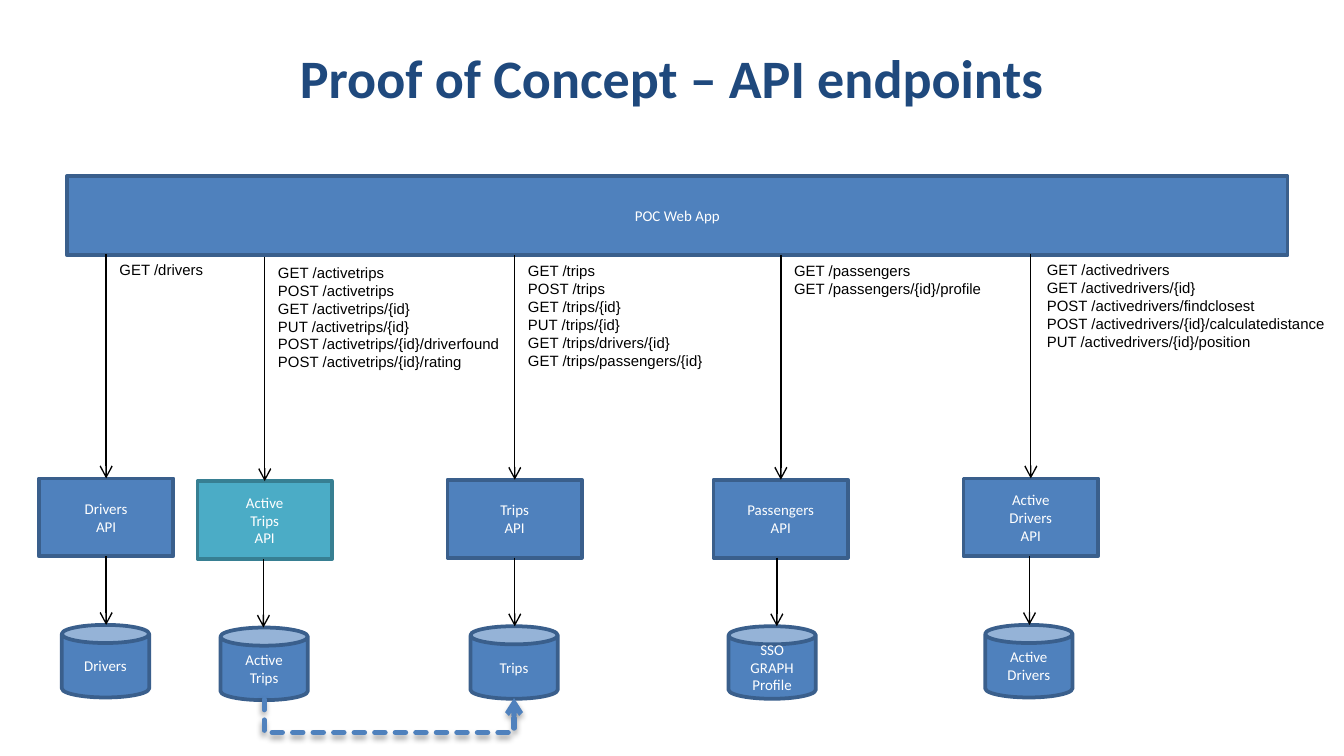
"""Build the slide that maps the web app to its API endpoints and data stores."""
import collections

import pptx
import pptx.dml.color
import pptx.enum.dml
import pptx.enum.shapes
import pptx.enum.text
import pptx.oxml
import pptx.oxml.ns
import pptx.util

Inches = pptx.util.Inches
Pt = pptx.util.Pt
Rgb = pptx.dml.color.RGBColor.from_string
Shape = pptx.enum.shapes.MSO_SHAPE
Kind = pptx.enum.shapes.MSO_CONNECTOR
Align = pptx.enum.text.PP_ALIGN
Anchor = pptx.enum.text.MSO_ANCHOR
space = pptx.oxml.ns.nsdecls("a")

Theme = collections.namedtuple(
    "Theme", "navy blue edge teal rim white black head body title text")
theme = Theme(navy="1F497D", blue="4F81BD", edge="3A5F8C", teal="4BACC6",
              rim="377F92", white="FFFFFF", black="000000",
              head="Calibri", body="Arial", title=29, text=8)


def write(text, at, kind=None, fill=theme.blue, edge=theme.edge, inset=0.09,
          font=theme.head, size=theme.text, color=theme.white, bold=False,
          align=Align.CENTER, anchor=Anchor.MIDDLE):
    box = [Inches(n) for n in at]
    if kind is None:
        item = slide.shapes.add_textbox(*box)
    else:
        item = slide.shapes.add_shape(kind, *box)
        item.shadow.inherit = False
        item.fill.solid()
        item.fill.fore_color.rgb = Rgb(fill)
        item.line.color.rgb = Rgb(edge)
        item.line.width = Pt(2)
    frame = item.text_frame
    frame.word_wrap = True
    frame.vertical_anchor = anchor
    frame.margin_left = frame.margin_right = Inches(inset)
    frame.margin_top = frame.margin_bottom = Inches(0.04)
    frame.text = text
    for para in frame.paragraphs:
        para.alignment = align
        para.font.name = font
        para.font.size = Pt(size)
        para.font.bold = bold
        para.font.color.rgb = Rgb(color)


def link(start, end, kind=Kind.STRAIGHT, color=theme.black, width=0.75):
    line = slide.shapes.add_connector(kind, *[Inches(n) for n in (*start, *end)])
    line.line.color.rgb = Rgb(color)
    line.line.width = Pt(width)
    props = line._element.spPr
    stroke = props.find(pptx.oxml.ns.qn("a:ln"))
    stroke.append(pptx.oxml.parse_xml(f'<a:tailEnd {space} type="arrow"/>'))
    glow = pptx.oxml.parse_xml(f"<a:effectLst {space}/>")
    props.append(glow)
    return line, props, stroke, glow


deck = pptx.Presentation()
deck.slide_width = Inches(10)
deck.slide_height = deck.slide_width * 9 // 16
slide = deck.slides.add_slide(deck.slide_layouts[6])

write("Proof of Concept – API endpoints", (0.5, 0.26, 9, 0.62),
      size=theme.title, color=theme.navy, bold=True)
write("POC Web App", (0.5, 1.31, 9.08, 0.59), kind=Shape.RECTANGLE)

Column = collections.namedtuple("Column", "mid drop api store calls note wide can stem")
columns = [
    Column(0.79, 0, "Drivers\nAPI", "Drivers", "GET /drivers", 0.79, 1.08, 0.79, 0.79),
    Column(1.97, 0.02, "Active\nTrips\nAPI", "Active\nTrips",
           "GET /activetrips\nPOST /activetrips\nGET /activetrips/{id}\n"
           "PUT /activetrips/{id}\nPOST /activetrips/{id}/driverfound\n"
           "POST /activetrips/{id}/rating", 1.97, 1.97, 1.97, 1.96),
    Column(3.83, 0.01, "Trips\nAPI", "Trips",
           "GET /trips\nPOST /trips\nGET /trips/{id}\nPUT /trips/{id}\n"
           "GET /trips/drivers/{id}\nGET /trips/passengers/{id}", 3.83, 1.97, 3.83, 3.83),
    Column(5.81, 0.01, "Passengers\nAPI", "SSO GRAPH Profile",
           "GET /passengers\nGET /passengers/{id}/profile", 5.81, 1.92, 5.75, 5.78),
    Column(7.67, 0, "Active\nDrivers\nAPI", "Active\nDrivers",
           "GET /activedrivers\nGET /activedrivers/{id}\n"
           "POST /activedrivers/findclosest\n"
           "POST /activedrivers/{id}/calculatedistance\n"
           "PUT /activedrivers/{id}/position", 7.69, 2.39, 7.66, 7.66),
]

for col in columns:
    top, api, base, store = [n + col.drop for n in (1.89, 3.56, 4.14, 4.65)]
    main = col.api.startswith("Active\nTrips")
    write(col.api, (col.mid - 0.5, api, 1, 0.58), kind=Shape.RECTANGLE,
          fill=theme.teal if main else theme.blue,
          edge=theme.rim if main else theme.edge)
    write(col.store, (col.can - 0.33, store, 0.65, 0.54), kind=Shape.CAN, inset=0.07)
    link((col.mid, top), (col.mid, api))
    link((col.stem, base), (col.stem, store))
    rows = col.calls.count("\n") + 1
    write(col.calls, (col.note, top + 0.01, col.wide, 0.1 + 0.13 * rows), inset=0.1,
          font=theme.body, color=theme.black, align=Align.LEFT, anchor=Anchor.TOP)

line, props, stroke, glow = link((2.9, 6.13), (2.89, 4.27), kind=Kind.ELBOW,
                                 color=theme.blue, width=2.75)
line.line.dash_style = pptx.enum.dml.MSO_LINE.SQUARE_DOT
stroke.set("cap", "rnd")
props.xfrm.set("rot", "5400000")
shape = props.find(pptx.oxml.ns.qn("a:prstGeom"))
for old in list(shape):
    shape.remove(old)
shape.append(pptx.oxml.parse_xml(
    f'<a:avLst {space}><a:gd name="adj1" fmla="val -2500000"/></a:avLst>'))
glow.append(pptx.oxml.parse_xml(
    f'<a:outerShdw {space} blurRad="{Pt(3.1)}" dist="{Pt(2)}" '
    'dir="5400000" rotWithShape="0"><a:srgbClr val="000000">'
    '<a:alpha val="35000"/></a:srgbClr></a:outerShdw>'))

deck.save("out.pptx")
